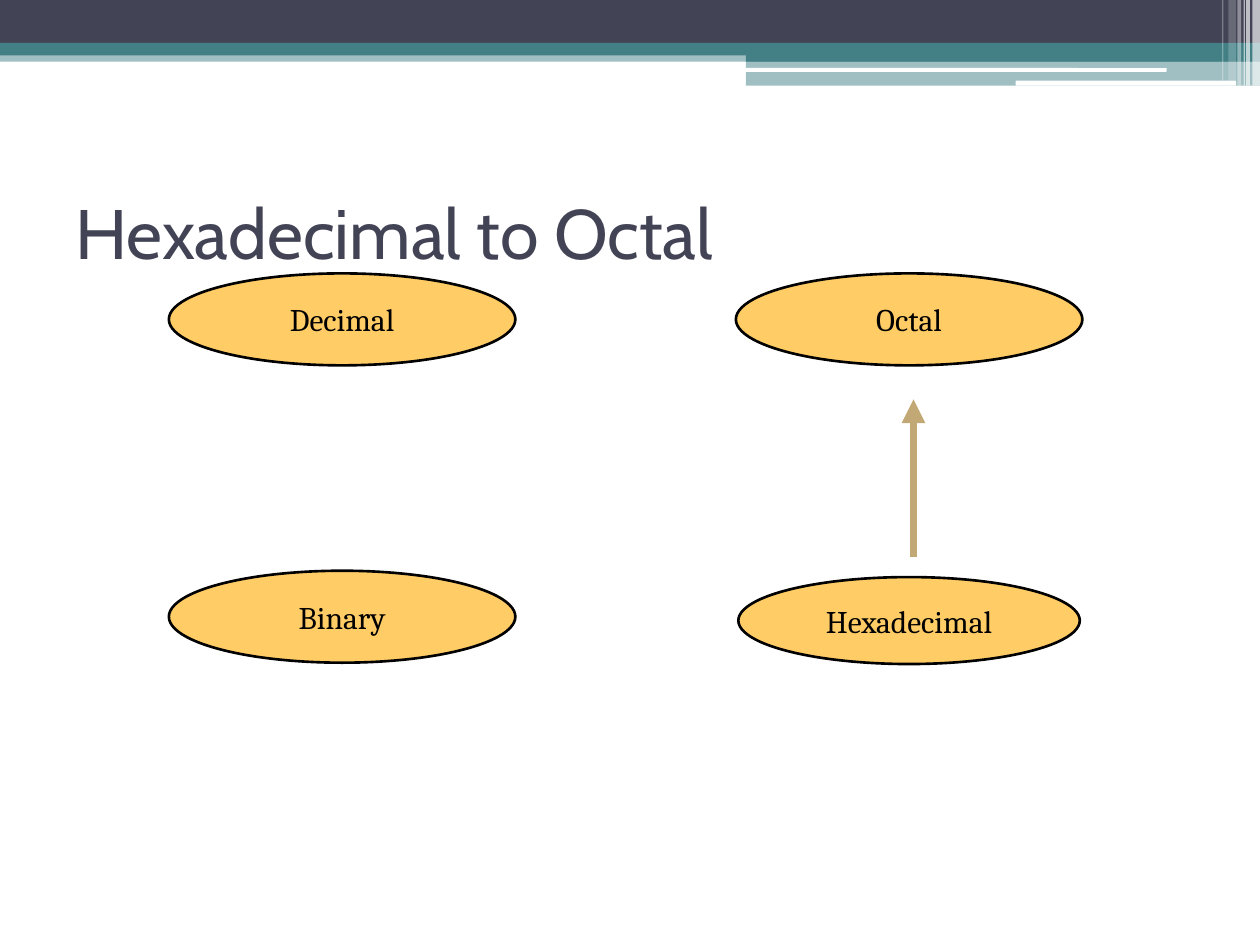
import dataclasses

import pptx
import pptx.dml.color
import pptx.enum.shapes
import pptx.enum.text
import pptx.oxml
import pptx.oxml.ns
import pptx.util

SHAPE = pptx.enum.shapes.MSO_SHAPE
ALIGN = pptx.enum.text.PP_ALIGN
CELL = 0.1  # inches: the slide is a grid of 100 columns by 75 rows


@dataclasses.dataclass(frozen=True)
class Theme:
    navy: str = "424456"
    teal: str = "438086"
    white: str = "FFFFFF"
    node: str = "FFCC66"
    ink: str = "000000"
    arrow: str = "C2A874"
    title_font: str = "Cabin"
    node_font: str = "Cambria"
    title_size: int = 40
    node_size: int = 18
    outline: float = 1.5
    arrow_width: float = 4.5


THEME = Theme()


@dataclasses.dataclass(frozen=True)
class Box:
    """Left, top, width and height in grid columns and rows."""
    left: float
    top: float
    width: float
    height: float

    def inside(self, left, top, width, height):
        return Box(self.left + left, self.top + top, width, height)

    def lengths(self):
        return [pptx.util.Inches(n * CELL) for n in dataclasses.astuple(self)]


def rgb(color):
    return pptx.dml.color.RGBColor.from_string(color)


def add_element(parent, tag, **attributes):
    element = pptx.oxml.parse_xml(f"<a:{tag} {pptx.oxml.ns.nsdecls('a')}/>")
    for name, value in attributes.items():
        element.set(name, value)
    parent.append(element)


def add_filled(slide, box, kind, color, opacity=100):
    shape = slide.shapes.add_shape(kind, *box.lengths())
    shape.shadow.inherit = False
    shape.fill.solid()
    shape.fill.fore_color.rgb = rgb(color)
    shape.line.fill.background()
    if opacity < 100:
        solid = shape.fill._xPr.find(pptx.oxml.ns.qn("a:solidFill"))
        add_element(solid[0], "alpha", val=str(opacity * 1000))
    return shape


def add_text(shape, text, font, size, color, align, wrap):
    frame = shape.text_frame
    frame.word_wrap = wrap
    frame.vertical_anchor = pptx.enum.text.MSO_ANCHOR.MIDDLE
    paragraph = frame.paragraphs[0]
    paragraph.alignment = align
    run = paragraph.add_run()
    run.text = text
    run.font.name = font
    run.font.size = pptx.util.Pt(size)
    run.font.color.rgb = rgb(color)


def draw_banner(slide, box):
    # Bands across the top and the wider step on the right
    step, step_width = 59.2, box.width - 59.2
    for left, top, width, height, color, opacity in (
        (0, 4, box.width, 0.9, THEME.teal, 50),
        (0, 0, box.width, 3.4, THEME.navy, 100),
        (0, 3.4, box.width, 1, THEME.teal, 100),
        (step, 3.9, step_width, 1, THEME.teal, 100),
        (step, 4.8, step_width, 2, THEME.teal, 50),
    ):
        add_filled(slide, box.inside(left, top, width, height),
                   SHAPE.RECTANGLE, color, opacity)

    # White rules in the step
    for left, top, width, height in ((59.1, 5.4, 33.5, 0.3), (80.6, 6.4, 17.5, 0.4)):
        add_filled(slide, box.inside(left, top, width, height),
                   SHAPE.ROUNDED_RECTANGLE, THEME.white)

    # Translucent stripes at the right edge
    for left, width, height, opacity in (
        (99.4, 0.6, 6.8, 65),
        (98.9, 0.3, 6.8, 65),
        (98.7, 0.1, 6.8, 60),
        (98.2, 0.3, 6.8, 40),
        (97.5, 0.6, 6.4, 20),
        (97, 0.1, 6.4, 30),
    ):
        add_filled(slide, box.inside(left, 0, width, height),
                   SHAPE.RECTANGLE, THEME.white, opacity)


def draw_title(slide, box):
    title = slide.shapes.add_textbox(*box.lengths())
    add_text(title, "Hexadecimal to Octal", THEME.title_font, THEME.title_size,
             THEME.navy, ALIGN.LEFT, True)


def draw_arrow(slide, box):
    left, top, _, height = box.lengths()
    arrow = slide.shapes.add_connector(
        pptx.enum.shapes.MSO_CONNECTOR.STRAIGHT, left, top + height, left, top)
    arrow.line.color.rgb = rgb(THEME.arrow)
    arrow.line.width = pptx.util.Pt(THEME.arrow_width)
    add_element(arrow.line._get_or_add_ln(), "tailEnd", type="triangle")
    add_element(arrow._element.spPr, "effectLst")


def draw_number_systems(slide, box):
    # One ellipse at each corner; Hexadecimal is slightly smaller
    width, height = 27.5, 7.3
    right, bottom = box.width - width, box.height - height
    for name, *place in (
        ("Hexadecimal", right + 0.2, bottom + 0.5, 27.1, 6.9),
        ("Decimal", 0, 0, width, height),
        ("Octal", right, 0, width, height),
        ("Binary", 0, bottom, width, height),
    ):
        node = add_filled(slide, box.inside(*place), SHAPE.OVAL, THEME.node)
        node.line.color.rgb = rgb(THEME.ink)
        node.line.width = pptx.util.Pt(THEME.outline)
        add_text(node, name, THEME.node_font, THEME.node_size, THEME.ink,
                 ALIGN.CENTER, False)

    # Conversion from Hexadecimal up to Octal
    draw_arrow(slide, box.inside(59.1, 10, 0, 12.5))


def main():
    deck = pptx.Presentation()
    deck.slide_width = pptx.util.Inches(100 * CELL)
    deck.slide_height = pptx.util.Inches(75 * CELL)
    slide = deck.slides.add_slide(deck.slide_layouts[6])
    draw_banner(slide, Box(0, 0, 100, 6.8))
    draw_title(slide, Box(5, 12.5, 90, 11.7))
    draw_number_systems(slide, Box(13.4, 21.7, 72.5, 30.9))
    deck.save("out.pptx")


if __name__ == "__main__":
    main()
